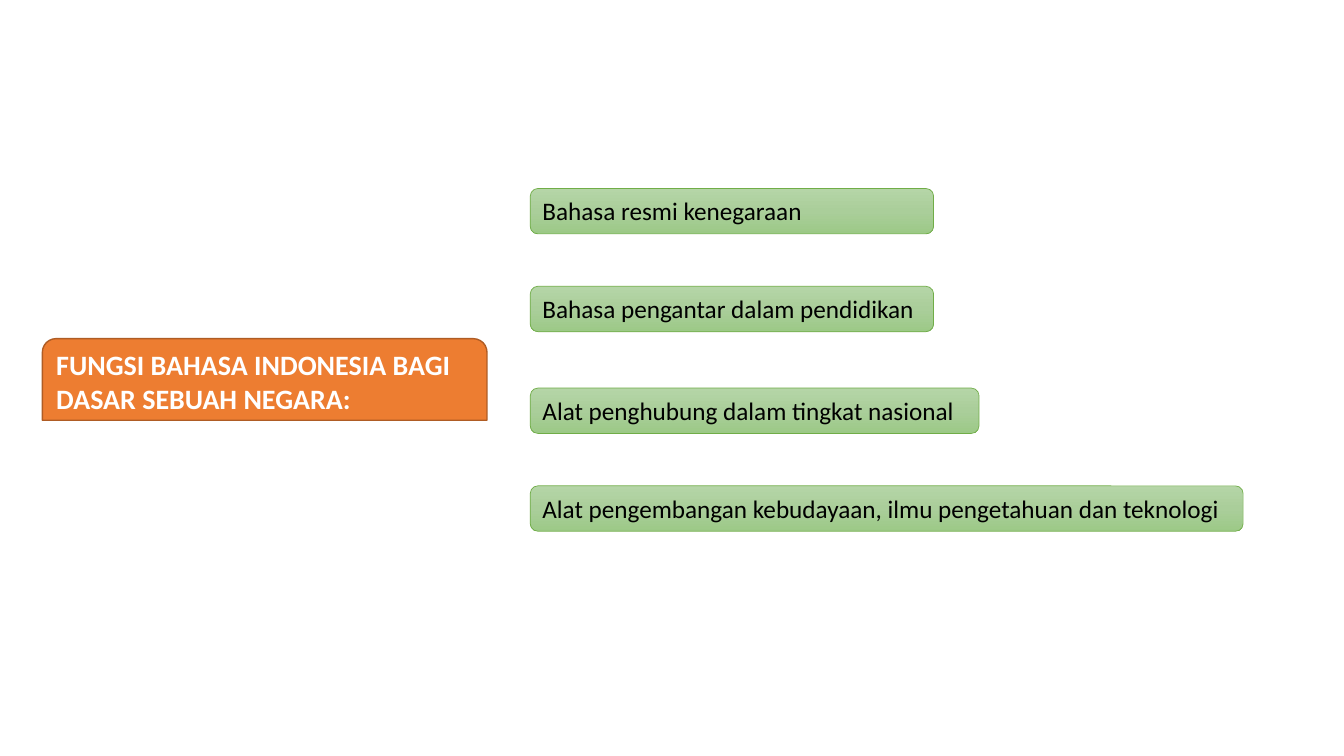
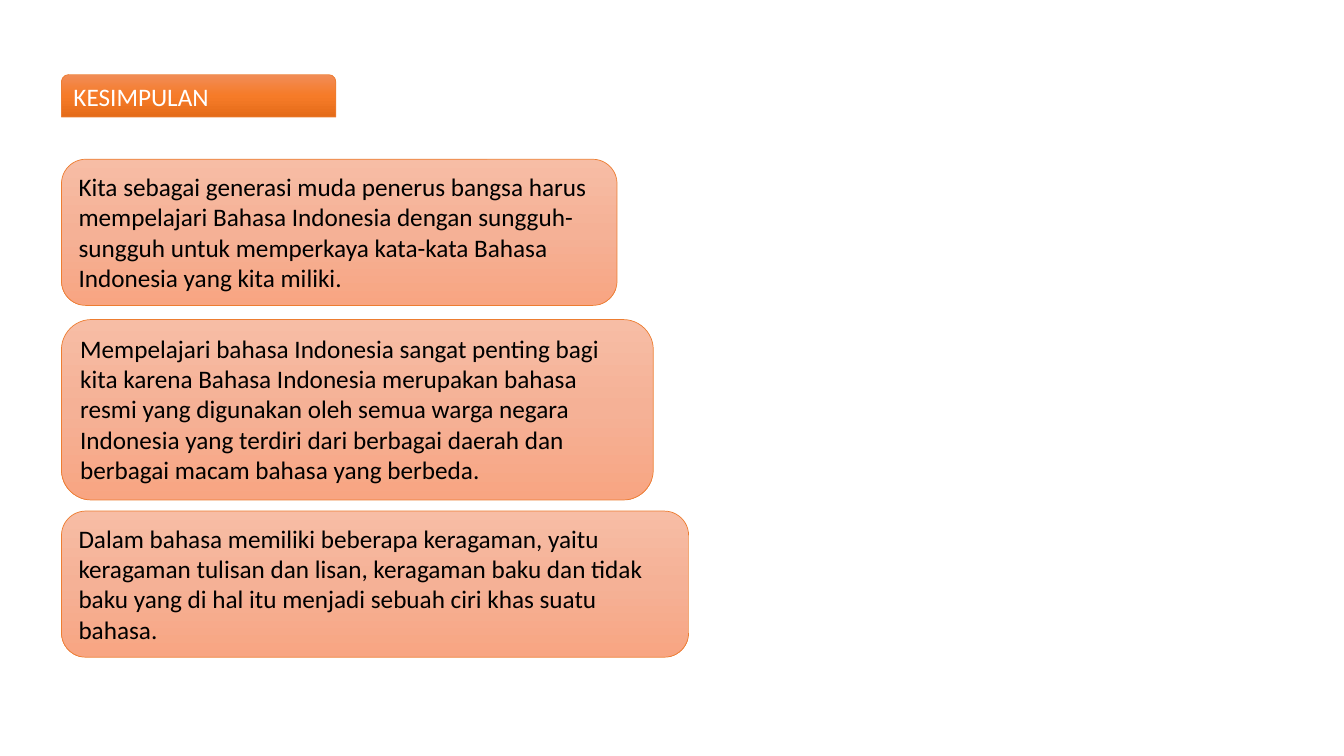
from copy import deepcopy

from pptx import Presentation
from pptx.dml.color import RGBColor
from pptx.enum.shapes import MSO_SHAPE
from pptx.enum.text import MSO_ANCHOR, MSO_AUTO_SIZE, PP_ALIGN
from pptx.oxml.ns import qn
from pptx.util import Inches, Pt

TAB = MSO_SHAPE.ROUND_2_SAME_RECTANGLE
CARD = MSO_SHAPE.ROUNDED_RECTANGLE
TOP = MSO_ANCHOR.TOP
LEFT = PP_ALIGN.LEFT
GROW = MSO_AUTO_SIZE.SHAPE_TO_FIT_TEXT

FONT = "Calibri"
WHITE, BLACK = "FFFFFF", "000000"
ORANGE, DARK_ORANGE, GREEN = "ED7D31", "AF5C24", "70AD47"
GREEN_FADE = ("B5D5A7", "AACE9A", "9CC987")
ORANGE_FADE = ("F18C57", "F67B28", "E56C19")
PEACH_FADE = ("F7BDA5", "F5B196", "F8A582")

FUNCTIONS = [  # top, width, text
    (1.87, 4, "Bahasa resmi kenegaraan"),
    (2.84, 4, "Bahasa pengantar dalam pendidikan"),
    (3.85, 4.45, "Alat penghubung dalam tingkat nasional"),
    (4.82, 7.07, "Alat pengembangan kebudayaan, ilmu pengetahuan dan teknologi"),
]
CONCLUSIONS = [  # top, width, height, text
    (1.58, 5.51, 1.45,
     "Kita sebagai generasi muda penerus bangsa harus mempelajari Bahasa "
     "Indonesia dengan sungguh-sungguh untuk memperkaya kata-kata Bahasa "
     "Indonesia yang kita miliki."),
    (3.17, 5.87, 1.79,
     "Mempelajari bahasa Indonesia sangat penting bagi kita karena Bahasa "
     "Indonesia merupakan bahasa resmi yang digunakan oleh semua warga negara "
     "Indonesia yang terdiri dari berbagai daerah dan berbagai macam bahasa "
     "yang berbeda."),
    (5.07, 6.22, 1.45,
     "Dalam bahasa memiliki beberapa keragaman, yaitu keragaman tulisan dan "
     "lisan, keragaman baku dan tidak baku yang di hal itu menjadi sebuah ciri "
     "khas suatu bahasa."),
]


def rgb(value):
    """Turn a hex string into a colour."""
    return RGBColor.from_string(value)


def fill_solid(sp, color):
    """Fill a shape with one colour."""
    sp.fill.solid()
    sp.fill.fore_color.rgb = rgb(color)


def fill_fade(sp, colors):
    """Fill a shape with three evenly spaced colours from top to bottom."""
    sp.fill.gradient()
    sp.fill.gradient_angle = 270
    stops = sp._element.spPr.find(qn("a:gradFill")).find(qn("a:gsLst"))
    stops.insert(1, deepcopy(stops[0]))
    for i, (stop, color) in enumerate(zip(sp.fill.gradient_stops, colors)):
        stop.position = i / 2
        stop.color.rgb = rgb(color)


def add_box(s, kind, box, text, line, color=BLACK, size=18, bold=False,
            weight=0.5):
    """Add an outlined shape with left-aligned text and return it."""
    sp = s.shapes.add_shape(kind, *map(Inches, box))
    sp.shadow.inherit = False
    sp.line.color.rgb = rgb(line)
    sp.line.width = Pt(weight)
    tf = sp.text_frame
    tf.word_wrap = True
    tf.auto_size = GROW
    tf.vertical_anchor = TOP
    p = tf.paragraphs[0]
    p.alignment = LEFT
    r = p.add_run()
    r.text = text
    r.font.name = FONT
    r.font.size = Pt(size)
    r.font.bold = bold
    r.font.color.rgb = rgb(color)
    return sp


def build_functions(s):
    """Build the slide on the functions of the language."""
    heading = add_box(s, TAB, (0.42, 3.36, 4.41, 0.81),
                      "FUNGSI BAHASA INDONESIA BAGI DASAR SEBUAH NEGARA:",
                      DARK_ORANGE, WHITE, 20, True, 1)
    fill_solid(heading, ORANGE)
    for top, width, text in FUNCTIONS:
        sp = add_box(s, CARD, (5.26, top, width, 0.45), text, GREEN)
        fill_fade(sp, GREEN_FADE)


def build_conclusions(s):
    """Build the slide with the conclusions."""
    left = 0.61
    heading = add_box(s, TAB, (left, 0.74, 2.72, 0.42), "KESIMPULAN",
                      ORANGE, WHITE)
    fill_fade(heading, ORANGE_FADE)
    for top, width, height, text in CONCLUSIONS:
        sp = add_box(s, CARD, (left, top, width, height), text, ORANGE)
        fill_fade(sp, PEACH_FADE)


def main():
    """Build and save the presentation."""
    prs = Presentation()
    prs.slide_width, prs.slide_height = Inches(13.33), Inches(7.5)
    for build in (build_functions, build_conclusions):
        build(prs.slides.add_slide(prs.slide_layouts[6]))
    prs.save("out.pptx")


main()
